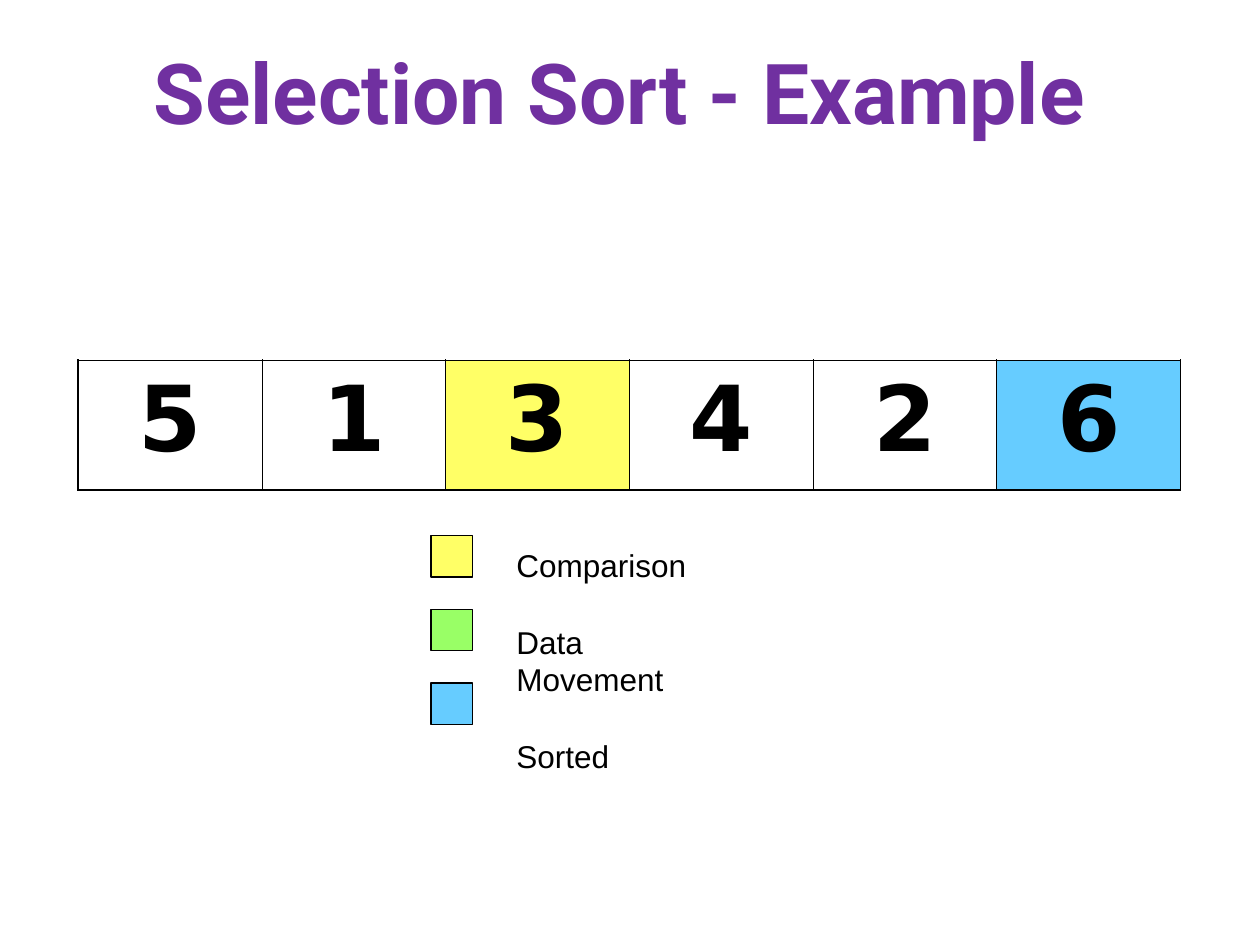
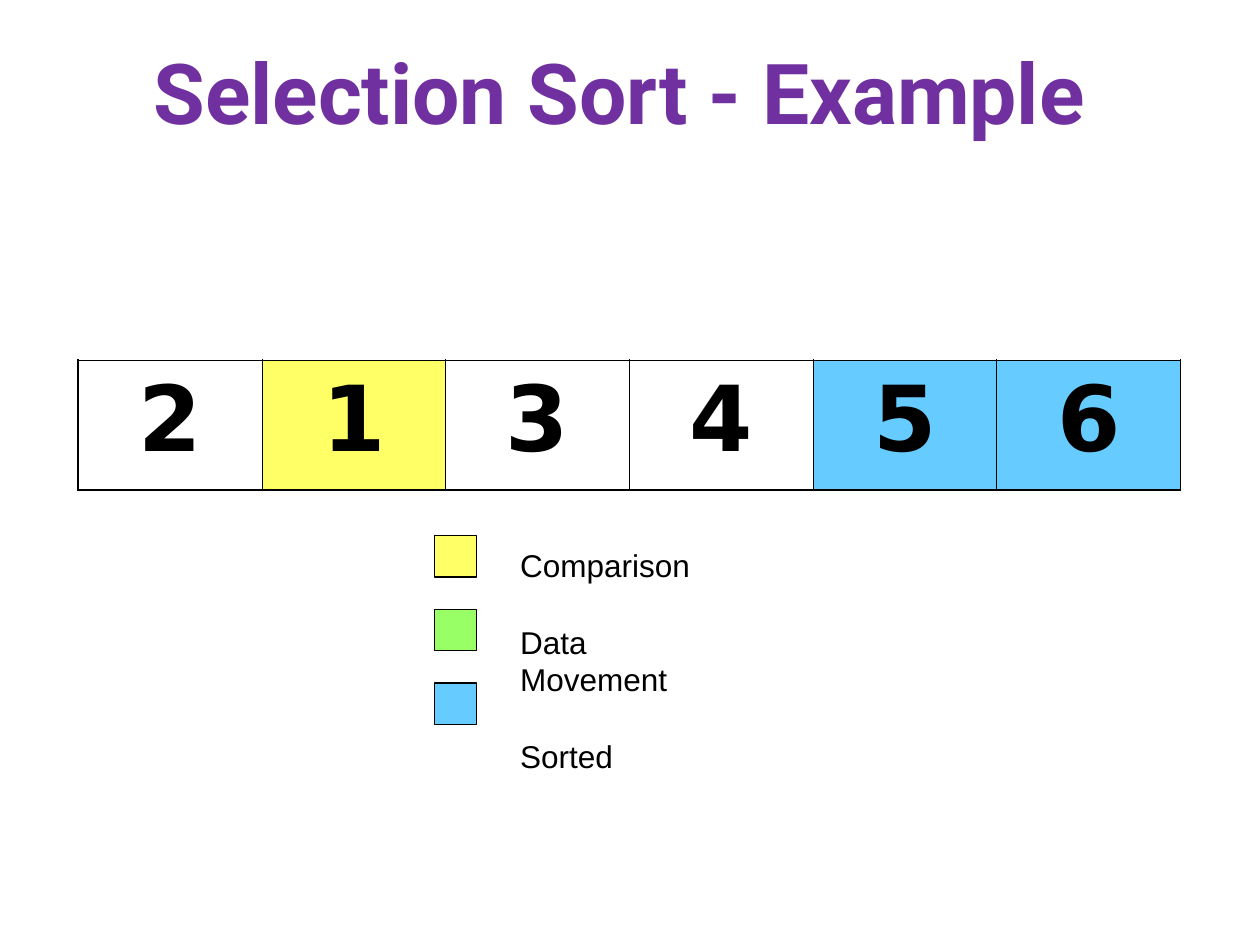
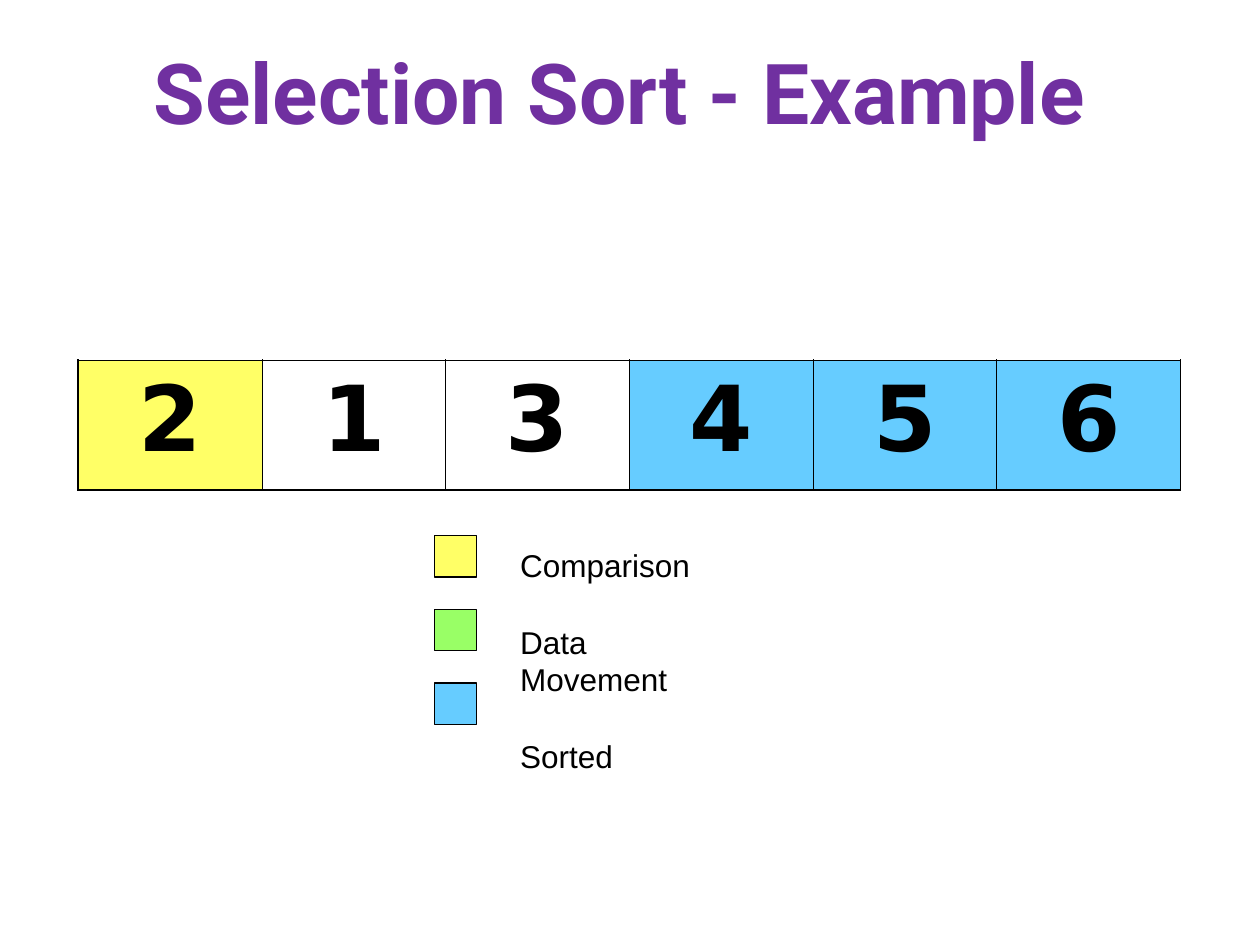
from typing import NamedTuple

import pptx
import pptx.dml.color
import pptx.enum.shapes
import pptx.enum.text
import pptx.oxml
import pptx.oxml.ns
import pptx.presentation
import pptx.slide
import pptx.table
import pptx.text.text
import pptx.util
from pptx.util import Inches, Pt

BLACK = "000000"
PURPLE = "7030A0"
YELLOW = "FFFF66"
GREEN = "99FF66"
BLUE = "66CCFF"

TITLE = "Selection Sort - Example "
TITLE_ONLY_LAYOUT = 5
THIN, THICK = 0.45, 1.08

ARRAY_LEFT, ARRAY_TOP = Inches(0.62), Inches(2.86)
ARRAY_WIDTH, ARRAY_HEIGHT = Inches(8.75), Inches(1.03)

LEGEND_TOP = Inches(4.25)
LEGEND_STEP = Inches(1.17 / 2)
SWATCH_SIZE = Inches(0.33)
LABEL_OFFSET = Inches(0.58)


class LegendEntry(NamedTuple):
    label: str
    colour: str


class SortStep(NamedTuple):
    """State of the array: values, index being compared, first sorted index."""
    values: tuple[int, ...]
    compared: int
    sorted_from: int
    legend_left: float


LEGEND = (
    LegendEntry("Comparison", YELLOW),
    LegendEntry("Data Movement", GREEN),
    LegendEntry("Sorted", BLUE),
)

STEPS = (
    SortStep((5, 1, 3, 4, 2, 6), compared=2, sorted_from=5, legend_left=3.42),
    SortStep((2, 1, 3, 4, 5, 6), compared=1, sorted_from=4, legend_left=3.45),
    SortStep((2, 1, 3, 4, 5, 6), compared=0, sorted_from=3, legend_left=3.45),
)


def rgb(colour: str) -> pptx.dml.color.RGBColor:
    return pptx.dml.color.RGBColor.from_string(colour)


def style_paragraph(para: pptx.text.text._Paragraph, font: str, size: float,
                    colour: str = BLACK, bold: bool = False, centred: bool = False) -> None:
    align = pptx.enum.text.PP_ALIGN
    para.alignment = align.CENTER if centred else align.LEFT
    para.font.name = font
    para.font.size = Pt(size)
    para.font.bold = bold
    para.font.color.rgb = rgb(colour)


def set_border(cell: pptx.table._Cell, side: str, width: float) -> None:
    """Draw one border; side is L, R, T or B."""
    namespace = pptx.oxml.ns.nsdecls("a")
    cell._tc.get_or_add_tcPr().append(pptx.oxml.parse_xml(
        f'<a:ln{side} {namespace} w="{Pt(width)}"><a:solidFill>'
        f'<a:srgbClr val="{BLACK}"/></a:solidFill></a:ln{side}>'))


def add_title(page: pptx.slide.Slide) -> None:
    title = page.shapes.title
    title.left, title.top = Inches(0.25), Inches(0.2)
    title.width, title.height = Inches(9.5), Inches(1.05)
    frame = title.text_frame
    frame.text = TITLE
    frame.auto_size = pptx.enum.text.MSO_AUTO_SIZE.NONE
    frame.vertical_anchor = pptx.enum.text.MSO_ANCHOR.MIDDLE
    style_paragraph(frame.paragraphs[0], "Roboto", 48, PURPLE, bold=True, centred=True)


def add_array(page: pptx.slide.Slide, step: SortStep) -> None:
    count = len(step.values)
    table = page.shapes.add_table(
        1, count, ARRAY_LEFT, ARRAY_TOP, ARRAY_WIDTH, ARRAY_HEIGHT).table
    table.first_row = table.horz_banding = False
    for index, value in enumerate(step.values):
        cell = table.cell(0, index)
        cell.text = str(value)
        style_paragraph(cell.text_frame.paragraphs[0], "DejaVu Sans", 52,
                        bold=True, centred=True)
        set_border(cell, "L", THICK if index == 0 else THIN)
        set_border(cell, "R", THICK if index == count - 1 else THIN)
        set_border(cell, "T", THICK)
        set_border(cell, "B", THICK)
        if index == step.compared or index >= step.sorted_from:
            cell.fill.solid()
            cell.fill.fore_color.rgb = rgb(YELLOW if index == step.compared else BLUE)
        else:
            cell.fill.background()


def add_legend(page: pptx.slide.Slide, left: pptx.util.Length) -> None:
    labels = page.shapes.add_textbox(left + LABEL_OFFSET, LEGEND_TOP, Inches(1.96), Inches(1.6))
    frame = labels.text_frame
    frame.word_wrap = False
    frame.auto_size = pptx.enum.text.MSO_AUTO_SIZE.SHAPE_TO_FIT_TEXT
    frame.margin_top = Inches(0.08)
    frame.text = "\n".join(entry.label for entry in LEGEND)
    for index, (entry, para) in enumerate(zip(LEGEND, frame.paragraphs)):
        style_paragraph(para, "Arial", 18)
        if index:
            para.space_before = Pt(22.4)
        swatch = page.shapes.add_shape(
            pptx.enum.shapes.MSO_SHAPE.RECTANGLE,
            left, LEGEND_TOP + index * LEGEND_STEP, SWATCH_SIZE, SWATCH_SIZE)
        swatch.shadow.inherit = False
        swatch.fill.solid()
        swatch.fill.fore_color.rgb = rgb(entry.colour)
        swatch.line.color.rgb = rgb(BLACK)
        swatch.line.width = Pt(0.75)


def add_step(deck: pptx.presentation.Presentation, step: SortStep) -> None:
    page = deck.slides.add_slide(deck.slide_layouts[TITLE_ONLY_LAYOUT])
    add_title(page)
    add_array(page, step)
    add_legend(page, Inches(step.legend_left))


def main() -> None:
    deck = pptx.Presentation()
    deck.slide_width, deck.slide_height = Inches(10), Inches(7.5)
    for step in STEPS:
        add_step(deck, step)
    deck.save("out.pptx")


if __name__ == "__main__":
    main()
